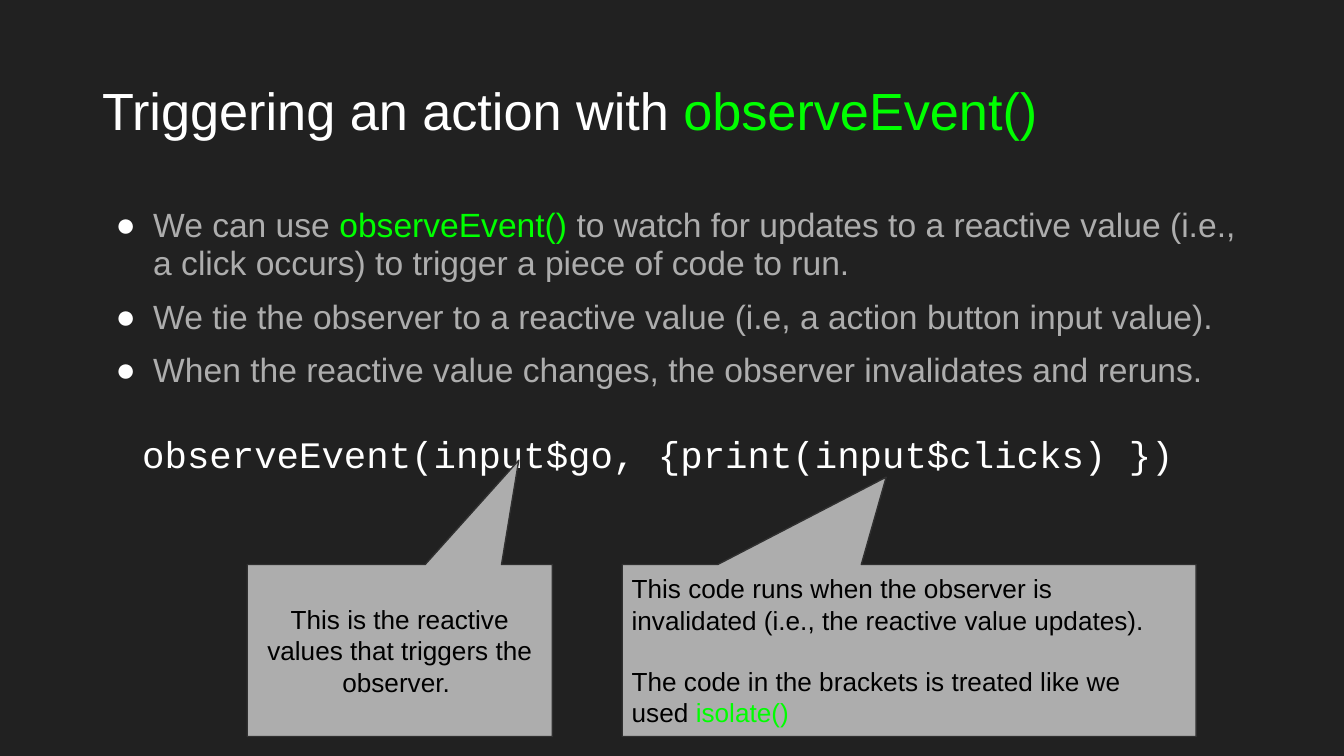
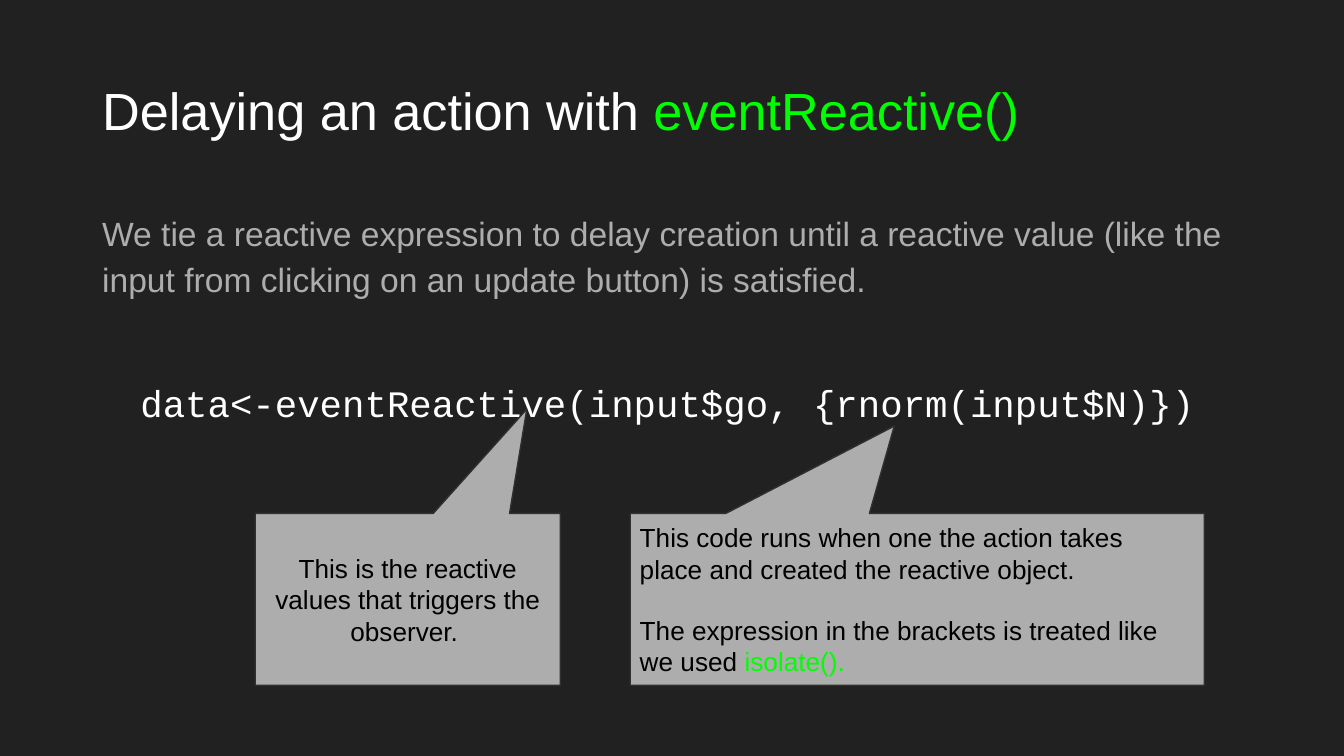
from dataclasses import dataclass

from lxml import etree
from pptx import Presentation
from pptx import util as u
from pptx.dml import color
from pptx.enum import shapes, text
from pptx.oxml import ns

BACKGROUND = "212121"
WHITE = "FFFFFF"
GREY = "ADADAD"
GREEN = "00FF00"
BLACK = "000000"
EDGE = "303030"
SANS = "Arial"
MONO = "Courier New"
LEFT = text.PP_ALIGN.LEFT
CENTER = text.PP_ALIGN.CENTER


@dataclass(frozen=True)
class Area:
    left: float
    top: float
    width: float
    height: float


@dataclass(frozen=True)
class Style:
    size: float
    ink: str
    font: str = SANS
    align: text.PP_ALIGN = LEFT
    line: float = 1.0
    before: float = 0
    after: float = 0
    margin: float = 0
    hang: float = 0
    bullet: bool = False
    right_inset: float = 0.07


@dataclass(frozen=True)
class Span:
    words: str
    accent: bool = False


Line = tuple[Span, ...]


@dataclass(frozen=True)
class Callout:
    area: Area
    tip: tuple[float, float]
    style: Style


@dataclass(frozen=True)
class Lesson:
    title: Line
    body: tuple[Line, ...]
    body_style: Style
    code: str
    code_left: float
    code_top: float
    shift: tuple[float, float]
    notes: tuple[tuple[Line, ...], ...]


TITLE_AREA = Area(0.69, 0.3, 8.62, 1.09)
BODY_AREA = Area(0.69, 1.5, 8.62, 1.51)
TITLE = Style(28, WHITE, line=0.9)
BULLETS = Style(18, GREY, line=0.95, before=8, margin=0.38, hang=-0.28, bullet=True)
PROSE = Style(18, GREY, line=1.15, after=8)
CODE = Style(20, WHITE, MONO, CENTER, line=1.15, after=8, margin=0.38)
CALLOUTS = (
    Callout(Area(1.84, 4.2, 2.27, 1.28), (0.39, -1.106), Style(14, BLACK, align=CENTER)),
    Callout(Area(4.63, 4.2, 4.27, 1.28), (-0.04, -1.008),
            Style(14, BLACK, before=16, right_inset=0.12)),
)
TRIGGER_NOTE = ((Span("This is the reactive values that triggers the observer. "),),)

LESSONS = (
    Lesson(
        title=(Span("Triggering an action with "), Span("observeEvent()", True)),
        body=(
            (
                Span("We can use "),
                Span("observeEvent()", True),
                Span(" to watch for updates to a reactive value (i.e., a click occurs)"
                     " to trigger a piece of code to run."),
            ),
            (Span("We tie the observer to a reactive value (i.e, a action button input value)."),),
            (Span("When the reactive value changes, the observer invalidates and reruns."),),
        ),
        body_style=BULLETS,
        code="observeEvent(input$go, {print(input$clicks) })",
        code_left=-0.29,
        code_top=3.09,
        shift=(0, 0),
        notes=(
            TRIGGER_NOTE,
            (
                (Span("This code runs when the observer is invalidated"
                      " (i.e., the reactive value updates)."),),
                (Span("The code in the brackets is treated like we used "),
                 Span("isolate()", True)),
            ),
        ),
    ),
    Lesson(
        title=(Span("Delaying an action with "), Span("eventReactive()", True)),
        body=(
            (Span("We tie a reactive expression to delay creation until a reactive value"
                  " (like the input from clicking on an update button) is satisfied."),),
        ),
        body_style=PROSE,
        code="data<-eventReactive(input$go, {rnorm(input$N)})",
        code_left=-0.22,
        code_top=2.71,
        shift=(0.06, -0.38),
        notes=(
            TRIGGER_NOTE,
            (
                (Span("This code runs when one the action takes place"
                      " and created the reactive object."),),
                (Span("The expression in the brackets is treated like we used "),
                 Span("isolate().", True)),
            ),
        ),
    ),
)


def rgb(value: str) -> color.RGBColor:
    return color.RGBColor.from_string(value)


def place(box, area: Area) -> None:
    box.left, box.top = u.Inches(area.left), u.Inches(area.top)
    box.width, box.height = u.Inches(area.width), u.Inches(area.height)


def set_bullet(para, style: Style) -> None:
    props = para._p.get_or_add_pPr()
    props.set("marL", str(u.Inches(style.margin)))
    props.set("indent", str(u.Inches(style.hang)))
    if not style.bullet:
        etree.SubElement(props, ns.qn("a:buNone"))
        return
    tint = etree.SubElement(props, ns.qn("a:buClr"))
    etree.SubElement(tint, ns.qn("a:srgbClr"), val=WHITE)
    etree.SubElement(props, ns.qn("a:buFont"), typeface=SANS)
    etree.SubElement(props, ns.qn("a:buChar"), char="●")


def write(frame, lines: tuple[Line, ...], style: Style, inset: float = 0.07,
          anchor=text.MSO_ANCHOR.TOP, fit=text.MSO_AUTO_SIZE.NONE) -> None:
    frame.word_wrap = True
    frame.auto_size = fit
    frame.vertical_anchor = anchor
    frame.margin_left = u.Inches(0.07)
    frame.margin_right = u.Inches(style.right_inset)
    frame.margin_top = frame.margin_bottom = u.Inches(inset)
    for index, line in enumerate(lines):
        para = frame.add_paragraph() if index else frame.paragraphs[0]
        set_bullet(para, style)
        para.alignment = style.align
        para.line_spacing = style.line
        para.space_before = u.Pt(style.before if index else 0)
        para.space_after = u.Pt(style.after)
        for span in line:
            run = para.add_run()
            run.text = span.words
            run.font.name = style.font
            run.font.size = u.Pt(style.size)
            run.font.color.rgb = rgb(GREEN if span.accent else style.ink)


def add_callout(page, callout: Callout, shift: tuple[float, float],
                lines: tuple[Line, ...]) -> None:
    area = callout.area
    box = page.shapes.add_shape(
        shapes.MSO_SHAPE.ROUNDED_RECTANGULAR_CALLOUT,
        u.Inches(area.left + shift[0]), u.Inches(area.top + shift[1]),
        u.Inches(area.width), u.Inches(area.height))
    for index, value in enumerate((*callout.tip, 0)):
        box.adjustments[index] = value
    box.shadow.inherit = False
    box.fill.solid()
    box.fill.fore_color.rgb = rgb(GREY)
    box.line.color.rgb = rgb(EDGE)
    box.line.width = u.Pt(0.75)
    write(box.text_frame, lines, callout.style, anchor=text.MSO_ANCHOR.MIDDLE)


def add_lesson(deck, lesson: Lesson) -> None:
    page = deck.slides.add_slide(deck.slide_layouts[1])
    title, body = page.shapes.title, page.placeholders[1]
    place(title, TITLE_AREA)
    write(title.text_frame, (lesson.title,), TITLE, 0.04, text.MSO_ANCHOR.MIDDLE)
    place(body, BODY_AREA)
    write(body.text_frame, lesson.body, lesson.body_style, 0.04)
    code = page.shapes.add_textbox(
        u.Inches(lesson.code_left), u.Inches(lesson.code_top), u.Inches(10), u.Inches(0.49))
    write(code.text_frame, ((Span(lesson.code),),), CODE,
          fit=text.MSO_AUTO_SIZE.SHAPE_TO_FIT_TEXT)
    for callout, lines in zip(CALLOUTS, lesson.notes):
        add_callout(page, callout, lesson.shift, lines)


def main() -> None:
    deck = Presentation()
    deck.slide_width = u.Inches(10)
    deck.slide_height = u.Inches(10) * 9 // 16
    backdrop = deck.slide_master.background.fill
    backdrop.solid()
    backdrop.fore_color.rgb = rgb(BACKGROUND)
    for lesson in LESSONS:
        add_lesson(deck, lesson)
    deck.save("out.pptx")


if __name__ == "__main__":
    main()
